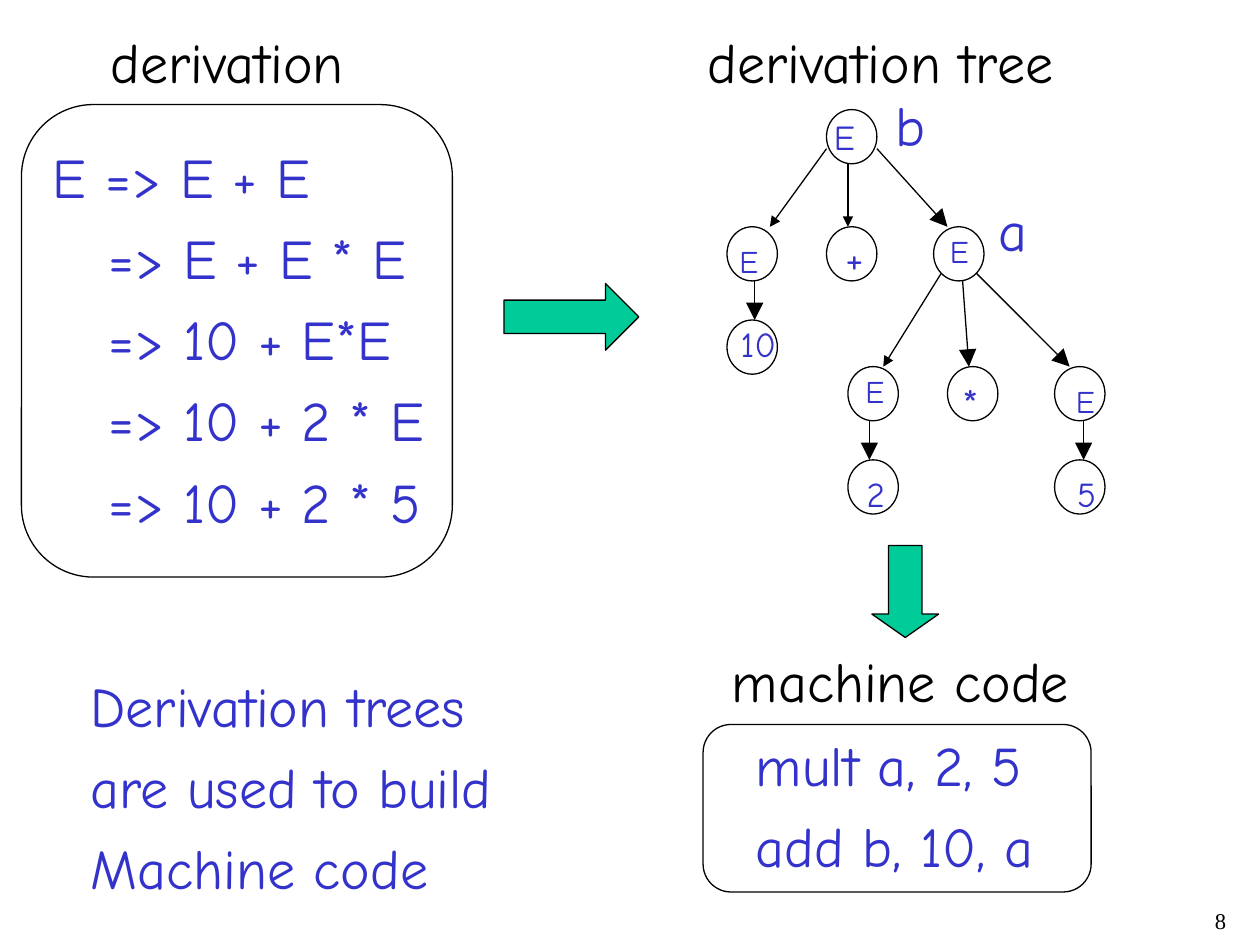
import pptx
import pptx.util
import pptx.dml.color
import pptx.enum.shapes
import pptx.enum.text
import pptx.oxml.ns
import lxml.etree

Inches = pptx.util.Inches
Pt = pptx.util.Pt
RGBColor = pptx.dml.color.RGBColor
SHAPE = pptx.enum.shapes.MSO_SHAPE
ALIGN = pptx.enum.text.PP_ALIGN
AUTO_SIZE = pptx.enum.text.MSO_AUTO_SIZE
qn = pptx.oxml.ns.qn

BLACK = RGBColor(0x00, 0x00, 0x00)
BLUE = RGBColor(0x33, 0x33, 0xCC)
GREEN = RGBColor(0x00, 0xCC, 0x99)
FONT = "Comic Neue"
NODE_WIDTH, NODE_HEIGHT = 0.4, 0.43


def add_text(slide, box, lines, size=32, color=BLUE, hanging=0):
    left, top, width, height = box
    frame = slide.shapes.add_textbox(
        Inches(left), Inches(top), Inches(width), Inches(height)
    ).text_frame
    frame.word_wrap = False
    frame.auto_size = AUTO_SIZE.SHAPE_TO_FIT_TEXT
    frame.text = "\n".join(lines)
    for index, paragraph in enumerate(frame.paragraphs):
        if index:
            paragraph.space_before = Pt(size / 4)
            if hanging:
                paragraph._p.get_or_add_pPr().set("marL", str(Inches(hanging)))
        paragraph.font.size = Pt(size)
        paragraph.font.name = FONT
        paragraph.font.color.rgb = color
    return frame


def add_outline(slide, kind, box, fill=None, adjustments=()):
    left, top, width, height = box
    outline = slide.shapes.add_shape(
        kind, Inches(left), Inches(top), Inches(width), Inches(height)
    )
    outline.shadow.inherit = False
    if fill is None:
        outline.fill.background()
    else:
        outline.fill.solid()
        outline.fill.fore_color.rgb = fill
    outline.line.color.rgb = BLACK
    outline.line.width = Pt(0.75)
    for index, value in enumerate(adjustments):
        outline.adjustments[index] = value


def add_branch(slide, start, end, head):
    branch = slide.shapes.add_connector(
        pptx.enum.shapes.MSO_CONNECTOR.STRAIGHT,
        *(Inches(value) for value in (*start, *end)),
    )
    branch.line.color.rgb = BLACK
    branch.line.width = Pt(0.75)
    lxml.etree.SubElement(
        branch.line._get_or_add_ln(), qn("a:tailEnd"), type="triangle", w=head, len=head
    )
    lxml.etree.SubElement(branch._element.spPr, qn("a:effectLst"))


def add_derivation(slide, box):
    left, top, width, height = box
    add_text(slide, (left + 0.61, top - 0.66, 2.06, 0.64), ["derivation"], color=BLACK)
    add_outline(slide, SHAPE.ROUNDED_RECTANGLE, box, adjustments=[0.167])
    steps = ["E => E + E", "=> E + E * E", "=> 10 + E*E", "=> 10 + 2 * E", "=> 10 + 2 * 5"]
    add_text(slide, (left + 0.15, top + 0.25, width - 0.27, height - 0.54), steps, hanging=0.44)


def add_tree(slide, box):
    left, top, width, height = box
    add_text(slide, (left - 0.25, top - 0.7, 2.96, 0.64), ["derivation tree"], color=BLACK)
    nodes = [
        (0.79, 0, "E", 20, -0.04, 0, 0.37),
        (0, 0.93, "E", 18, 0, 0.07, 0.35),
        (0.79, 0.93, "+", 24, 0.05, -0.01, 0.35),
        (1.64, 0.93, "E", 18, 0.03, -0.01, 0.35),
        (0, 1.67, "10", 20, 0.01, -0.03, 0.48),
        (0.96, 2.04, "E", 18, 0.04, -0.01, 0.35),
        (1.75, 2.04, "*", 24, 0.02, 0.04, 0.33),
        (2.6, 2.04, "E", 18, 0.07, 0.07, 0.35),
        (0.96, 2.78, "2", 20, 0.05, 0.05, 0.34),
        (2.6, 2.78, "5", 20, 0.08, 0.05, 0.35),
    ]
    for x, y, symbol, size, shift_x, shift_y, label_width in nodes:
        x, y = left + x, top + y
        add_outline(slide, SHAPE.OVAL, (x, y, NODE_WIDTH, NODE_HEIGHT))
        label_box = (x + shift_x, y + shift_y, label_width, 0.1 + size / 60)
        add_text(slide, label_box, [symbol], size)
    branches = [
        (0.79, 0.31, 0.34, 0.93, "med"),
        (0.96, 0.43, 0.96, 0.93, "med"),
        (1.19, 0.31, 1.75, 0.93, "lg"),
        (0.22, 1.36, 0.22, 1.67, "lg"),
        (1.7, 1.3, 1.24, 2.04, "med"),
        (1.87, 1.36, 1.92, 2.04, "lg"),
        (1.98, 1.3, 2.72, 2.04, "lg"),
        (1.13, 2.47, 1.13, 2.78, "lg"),
        (2.83, 2.47, 2.83, 2.78, "lg"),
    ]
    for x1, y1, x2, y2, head in branches:
        add_branch(slide, (left + x1, top + y1), (left + x2, top + y2), head)
    add_text(slide, (left + 1.24, top - 0.2, 0.44, 0.64), ["b"])
    add_text(slide, (left + 2.06, top + 0.63, 0.43, 0.64), ["a"])


def add_machine_code(slide, box):
    left, top, width, height = box
    add_text(slide, (left + 0.13, top - 0.67, 2.88, 0.64), ["machine code"], color=BLACK)
    add_outline(slide, SHAPE.ROUNDED_RECTANGLE, box, adjustments=[0.167])
    instructions = ["mult a, 2, 5", "add b, 10, a"]
    add_text(slide, (left + 0.32, top, width - 0.53, height - 0.05), instructions)


def add_flow_arrows(slide):
    add_outline(slide, SHAPE.RIGHT_ARROW, (4, 2.25, 1.07, 0.53), GREEN, (0.5, 0.5))
    add_outline(slide, SHAPE.DOWN_ARROW, (6.92, 4.33, 0.53, 0.73), GREEN, (0.5, 0.35))


def add_page_number(slide, box):
    frame = add_text(slide, box, ["8"], 12.9, BLACK)
    frame.auto_size = AUTO_SIZE.NONE
    frame.word_wrap = True
    number = frame.paragraphs[0]
    number.alignment = ALIGN.RIGHT
    number.line_spacing = 0.9
    number.font.name = "Times New Roman"


def main():
    deck = pptx.Presentation()
    deck.slide_width, deck.slide_height = Inches(10), Inches(7.5)
    slide = deck.slides.add_slide(deck.slide_layouts[6])
    add_derivation(slide, (0.17, 0.83, 3.42, 3.75))
    add_tree(slide, (5.77, 0.87, 3, 3.21))
    add_machine_code(slide, (5.58, 5.75, 3.08, 1.33))
    add_flow_arrows(slide)
    conclusion = ["Derivation trees", "are used to build", "Machine code"]
    add_text(slide, (0.62, 5.28, 3.41, 1.93), conclusion)
    add_page_number(slide, (7.75, 7.17, 2.08, 0.33))
    deck.save("out.pptx")


if __name__ == "__main__":
    main()
